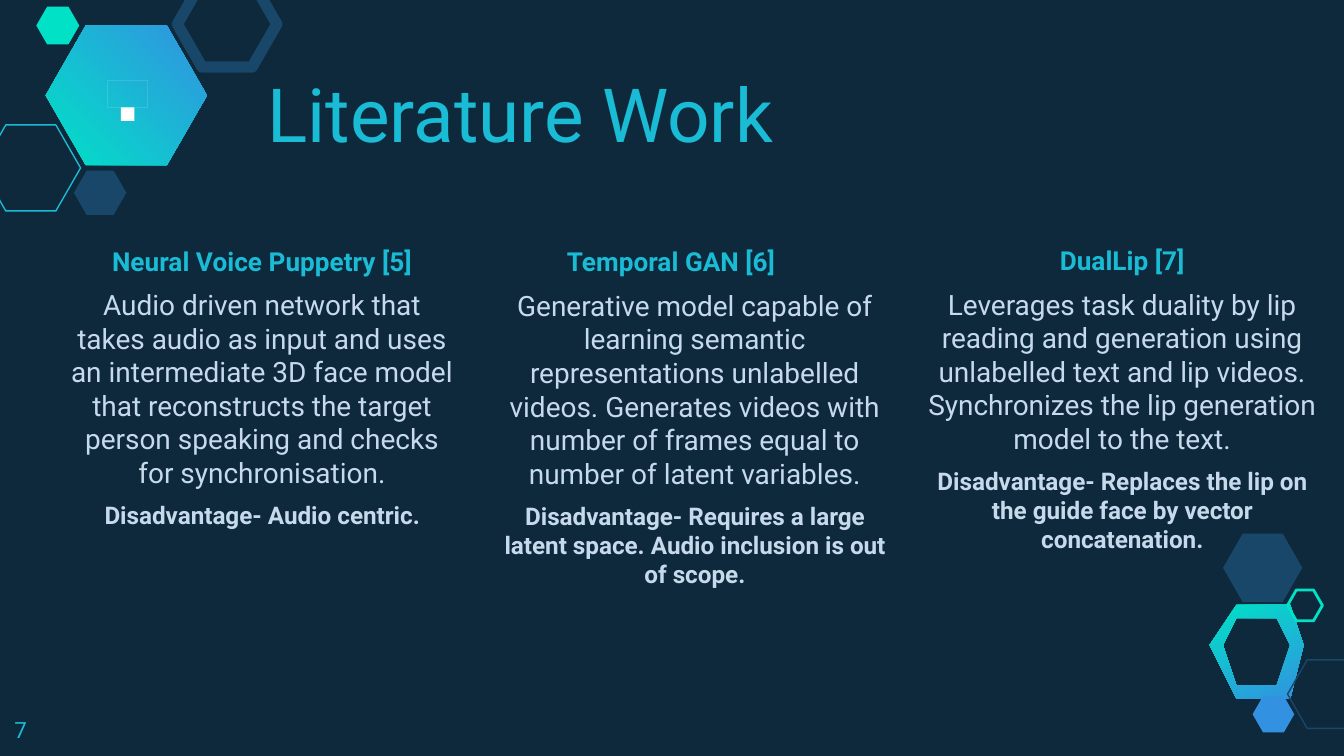
from collections import namedtuple

from pptx import Presentation
from pptx.dml.color import RGBColor
from pptx.enum.shapes import MSO_SHAPE as Shape
from pptx.enum.text import MSO_ANCHOR as Anchor, MSO_AUTO_SIZE as AutoSize, PP_ALIGN as Align
from pptx.util import Inches, Pt

Box = namedtuple("Box", "left top width height")

CELL = Inches(0.1)
COLUMNS, ROWS = 100, 56.25
FONT = "Roboto"
HEX_INSET = 0.287
COLORS = {
    "night": "0E293C",
    "navy": "184769",
    "cyan": "19BBD5",
    "mint": "00E1C6",
    "blue": "3292E1",
    "pale": "C6DAEC",
    "white": "FFFFFF",
}
STYLES = {
    "title": {"size": 40, "bold": False, "color": "cyan"},
    "heading": {"size": 14, "bold": True, "color": "cyan"},
    "summary": {"size": 15, "bold": False, "color": "pale"},
    "drawback": {"size": 13, "bold": True, "color": "pale"},
    "number": {"size": 12, "bold": False, "color": "cyan"},
}
WORKS = [
    (Box(4, 17, 31, 23.4), Align.CENTER, 0, [
        "Neural Voice Puppetry [5]",
        "Audio driven network that takes audio as input and uses an intermediate 3D face model "
        "that reconstructs the target person speaking and checks for synchronisation.",
        "Disadvantage- Audio centric.",
    ]),
    (Box(36.2, 17, 31, 27.8), Align.LEFT, 5, [
        "Temporal GAN [6]",
        "Generative model capable of learning semantic representations unlabelled videos. "
        "Generates videos with number of frames equal to number of latent variables.",
        "Disadvantage- Requires a large latent space. Audio inclusion is out of scope.",
    ]),
    (Box(68, 17, 31, 25.2), Align.CENTER, 0, [
        "DualLip [7]",
        "Leverages task duality by lip reading and generation using unlabelled text and lip "
        "videos. Synchronizes the lip generation model to the text.",
        "Disadvantage- Replaces the lip on the guide face by vector concatenation.",
    ]),
]


def color(name):
    return RGBColor.from_string(COLORS[name])


def cells(box):
    return [round(length * CELL) for length in box]


def within(outer, inner):
    return Box(outer.left + inner[0], outer.top + inner[1], inner[2], inner[3])


def paint(shape, fill=None, line=None, weight=0, angle=None):
    shape.shadow.inherit = False
    if angle is not None:
        shape.fill.gradient()
        shape.fill.gradient_angle = angle
        for stop, name, position in zip(shape.fill.gradient_stops, ("mint", "blue"), (0, 1)):
            stop.color.rgb = color(name)
            stop.position = position
    elif fill:
        shape.fill.solid()
        shape.fill.fore_color.rgb = color(fill)
    else:
        shape.fill.background()
    if line:
        shape.line.color.rgb = color(line)
        shape.line.width = Pt(weight)
    else:
        shape.line.fill.background()


def add_hexagon(page, box, **look):
    hexagon = page.shapes.add_shape(Shape.HEXAGON, *cells(box))
    hexagon.adjustments[0] = HEX_INSET
    paint(hexagon, **look)


def hexagon_points(box):
    inset = HEX_INSET * box.height
    right, bottom = box.left + box.width, box.top + box.height
    middle = box.top + box.height / 2
    return [(box.left, middle), (box.left + inset, box.top), (right - inset, box.top),
            (right, middle), (right - inset, bottom), (box.left + inset, bottom)]


def rectangle_points(box):
    right, bottom = box.left + box.width, box.top + box.height
    return [(box.left, box.top), (right, box.top), (right, bottom), (box.left, bottom)]


def add_outline(page, contours, **look):
    builder = page.shapes.build_freeform(*contours[0][0], scale=CELL)
    builder.add_line_segments(contours[0][1:], close=True)
    for contour in contours[1:]:
        builder.move_to(*contour[0])
        builder.add_line_segments(contour[1:], close=True)
    paint(builder.convert_to_shape(), **look)


def add_monitor(page, box):
    screen = within(box, (0, 0, box.width, 2.6))
    glass = within(box, (0.3, 0.3, box.width - 0.6, 2))
    add_outline(page, [rectangle_points(screen), rectangle_points(glass)], fill="white")
    stand = [(1.5, 2.7), (1.5, 3.2), (1.1, 3.2), (0.9, 3.4),
             (2.6, 3.4), (2.4, 3.2), (2.1, 3.2), (2.1, 2.7)]
    add_outline(page, [[(box.left + x, box.top + y) for x, y in stand]], fill="white")


def add_top_cluster(page, box):
    for place, look in [
        ((3.4, 1.9, 12, 10.4), {"angle": 45}),
        ((-1.4, 9.3, 7.4, 6.4), {"line": "cyan", "weight": 0.75}),
        ((5.5, 12.7, 3.9, 3.3), {"fill": "navy"}),
        ((13.2, -1.4, 7.4, 6.4), {"line": "navy", "weight": 6}),
        ((2.7, 0.5, 3.2, 2.8), {"fill": "mint"}),
    ]:
        add_hexagon(page, within(box, place), **look)
    add_monitor(page, within(box, (7.7, 5.5, 3.5, 3.4)))


def add_bottom_cluster(page, box):
    ring = within(box, (0, 5.4, 7.5, 6.5))
    hole = within(ring, (1, 0.95, 5.5, 4.6))
    add_outline(page, [hexagon_points(ring), hexagon_points(hole)], angle=296)
    for place, look in [
        ((5.9, 9.4, 5.9, 5.1), {"line": "navy", "weight": 0.75}),
        ((3.3, 12.1, 3.1, 2.7), {"fill": "blue"}),
        ((1.1, 0, 5.9, 5.1), {"fill": "navy"}),
        ((5.9, 4.2, 2.6, 2.3), {"line": "mint", "weight": 1.5}),
    ]:
        add_hexagon(page, within(box, place), **look)


def set_frame(shape, anchor):
    frame = shape.text_frame
    settings = {"word_wrap": True, "auto_size": AutoSize.NONE, "vertical_anchor": anchor}
    margins = {f"margin_{side}": CELL for side in ("left", "top", "right", "bottom")}
    for name, value in {**settings, **margins}.items():
        setattr(frame, name, value)
    return frame


def write(para, text, style, align=Align.LEFT, space=0):
    look = STYLES[style]
    para.alignment = align
    para.space_before = Pt(space)
    span = para.add_run()
    span.text = text
    for name, value in {"name": FONT, "size": Pt(look["size"]), "bold": look["bold"]}.items():
        setattr(span.font, name, value)
    span.font.color.rgb = color(look["color"])


def add_title(page, box, text):
    title = page.shapes.title
    for name, value in zip(("left", "top", "width", "height"), cells(box)):
        setattr(title, name, value)
    write(set_frame(title, Anchor.BOTTOM).paragraphs[0], text, "title")


def add_work(page, box, heading_align, indent, texts):
    frame = set_frame(page.shapes.add_textbox(*cells(box)), Anchor.BOTTOM)
    aligns = (heading_align, Align.CENTER, Align.CENTER)
    for index, style in enumerate(("heading", "summary", "drawback")):
        para = frame.add_paragraph() if index else frame.paragraphs[0]
        write(para, texts[index], style, aligns[index], space=6)
    if indent:
        frame.paragraphs[0]._p.get_or_add_pPr().set("indent", str(indent * CELL))


def add_number(page, box, text):
    frame = set_frame(page.shapes.add_textbox(*cells(box)), Anchor.TOP)
    write(frame.paragraphs[0], text, "number")


def main():
    deck = Presentation()
    deck.slide_width, deck.slide_height = round(COLUMNS * CELL), round(ROWS * CELL)
    page = deck.slides.add_slide(deck.slide_layouts[5])
    page.background.fill.solid()
    page.background.fill.fore_color.rgb = color("night")
    add_top_cluster(page, Box(0, 0, 21, 16))
    add_bottom_cluster(page, Box(89.9, 39.7, 11.8, 14.8))
    add_title(page, Box(18.9, 5.6, 59.9, 7.1), "Literature Work")
    for work in WORKS:
        add_work(page, *work)
    add_number(page, Box(0.1, 52.3, 6, 3.9), "7")
    deck.save("out.pptx")


if __name__ == "__main__":
    main()
